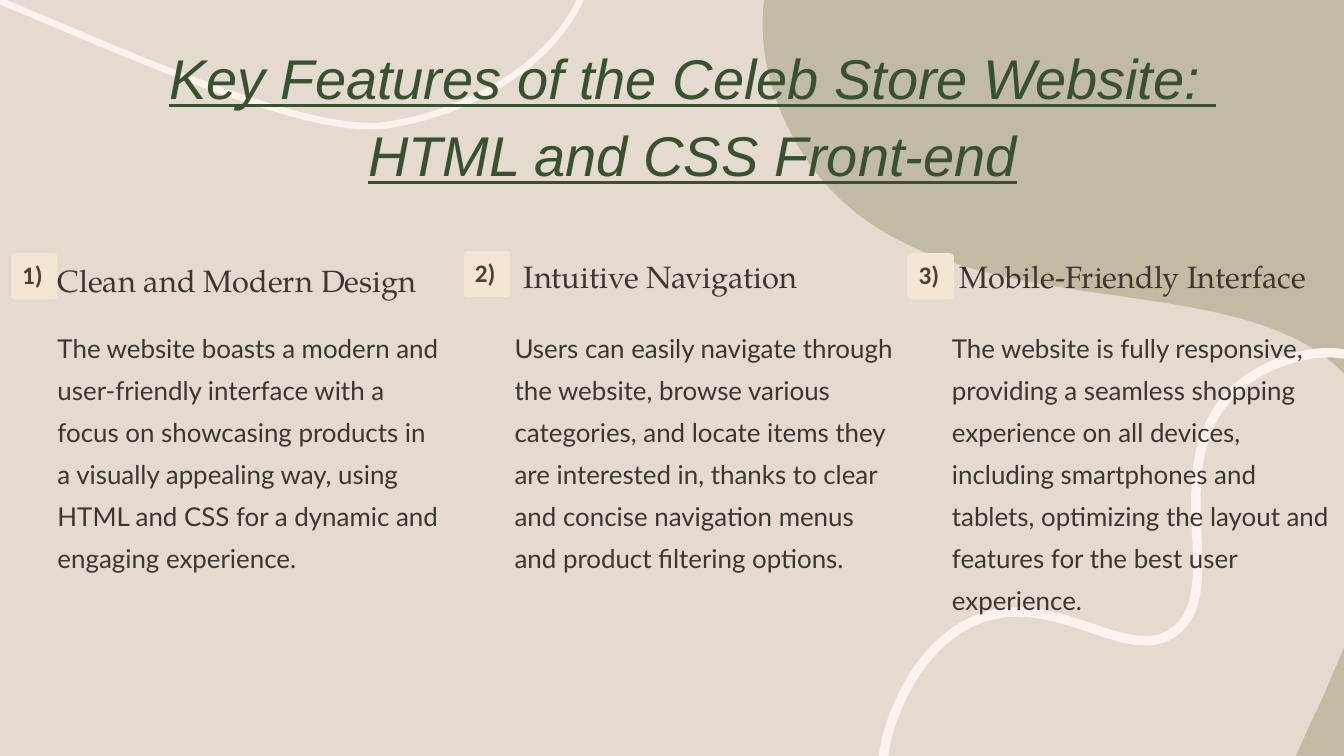
from pptx import Presentation
from pptx.dml.color import RGBColor
from pptx.enum.shapes import MSO_SHAPE as Shape
from pptx.enum.text import MSO_ANCHOR as Anchor, PP_ALIGN as Align
from pptx.oxml.ns import qn
from pptx.util import Cm, Pt
from lxml.etree import SubElement

SAND, OLIVE, CREAM, BADGE = "E5DACF", "A09D79", "FEF3ED", "F3E7D4"
GREEN, BROWN, INK = "38512F", "543E34", "3A3630"

CORNER = [
    (33.91, 16.23), (33.91, 19.05), (32.66, 19.05), (33.02, 18.24),
    (33.2, 17.88, 33.38, 17.5, 33.53, 17.12),
]
BLOB = [
    (19.25, 0), (33.91, 0), (33.91, 9.47), (33.81, 9.35),
    (30.78, 6.38, 23.11, 8.66, 20.14, 3.73),
    (19.91, 3.35, 19.05, 1.88, 19.25, 0.05),
]
TOP_WAVE = [
    (0, 0.03), (0.38, 0.18), (2.54, 1.09),
    (6.55, 2.77, 8.28, 3.18, 9.35, 3.18),
    (9.68, 3.18, 9.96, 3.12, 10.21, 3.07),
    (11.81, 2.74, 13.87, 1.7, 14.66, -0.08),
]
BOTTOM_WAVE = [
    (22.25, 19.13), (22.33, 18.67),
    (22.63, 17.5, 23.32, 16.23, 24.49, 15.67),
    (26.54, 14.73, 28.42, 16.84, 29.62, 15.9),
    (30.96, 14.86, 29.24, 11.84, 30.99, 9.96),
    (31.75, 9.14, 32.79, 8.97, 33.05, 8.92),
    (33.22, 8.89, 33.4, 8.89, 33.6, 8.89),
    (33.68, 8.89, 33.81, 8.92, 33.91, 8.92),
]

TITLE = ["Key Features of the Celeb Store Website: ", "HTML and CSS Front-end"]
FEATURES = [
    ("1)", (0.28, 6.38), "Clean and Modern Design", (1.45, 6.55, 9.4, 0.97),
     "The website boasts a modern and user-friendly interface with a focus on "
     "showcasing products in a visually appealing way, using HTML and CSS for "
     "a dynamic and engaging experience.", (1.45, 8.1, 9.73, 6.38)),
    ("2)", (11.69, 6.32), "Intuitive Navigation", (13.2, 6.45, 7.82, 0.97),
     "Users can easily navigate through the website, browse various categories, "
     "and locate items they are interested in, thanks to clear and concise "
     "navigation menus and product filtering options.", (12.97, 8.1, 9.73, 6.38)),
    ("3)", (22.87, 6.38), "Mobile-Friendly Interface", (24.19, 6.45, 9.32, 0.97),
     "The website is fully responsive, providing a seamless shopping experience "
     "on all devices, including smartphones and tablets, optimizing the layout "
     "and features for the best user experience.", (23.99, 8.1, 9.73, 7.44)),
]


def rgb(color):
    return RGBColor.from_string(color)


def corner_points(contour):
    return [(Cm(x), Cm(y)) for segment in contour
            for x, y in zip(segment[::2], segment[1::2])]


def bend(s, contours, closed):
    path = next(s._element.iter(qn("a:path")))
    nodes = iter(list(path))
    for contour in contours:
        for segment in contour:
            node = next(nodes)
            if len(segment) == 6:
                node.tag = qn("a:cubicBezTo")
                for extra in (next(nodes), next(nodes)):
                    node.append(extra[0])
                    path.remove(extra)
        if closed:
            next(nodes)


def add_outline(slide, contours, closed):
    first, *others = map(corner_points, contours)
    builder = slide.shapes.build_freeform(*first[0])
    builder.add_line_segments(first[1:], close=closed)
    for points in others:
        builder.move_to(*points[0])
        builder.add_line_segments(points[1:], close=closed)
    s = builder.convert_to_shape()
    s.shadow.inherit = False
    bend(s, contours, closed)
    return s


def add_blob(slide, contours, color, opacity):
    s = add_outline(slide, contours, True)
    s.fill.solid()
    s.fill.fore_color.rgb = rgb(color)
    s.line.fill.background()
    fill = s._element.spPr.find(qn("a:solidFill"))
    SubElement(fill[0], qn("a:alpha")).set("val", str(opacity * 1000))


def add_wave(slide, contour, color, width):
    s = add_outline(slide, [contour], False)
    s.fill.background()
    s.line.color.rgb = rgb(color)
    s.line.width = Pt(width)


def add_run(p, text, font, size, color, **style):
    r = p.add_run()
    r.text = text
    r.font.name = font
    r.font.size = Pt(size)
    r.font.color.rgb = rgb(color)
    for name, value in style.items():
        setattr(r.font, name, value)


def add_text(slide, box, lines, font, size, color, spacing,
             align=Align.LEFT, wrap=True, **style):
    tf = slide.shapes.add_textbox(*map(Cm, box)).text_frame
    tf.word_wrap = wrap
    tf.margin_left = tf.margin_right = tf.margin_top = tf.margin_bottom = 0
    for i, text in enumerate(lines):
        p = tf.add_paragraph() if i else tf.paragraphs[0]
        p.alignment = align
        p.line_spacing = Pt(spacing)
        add_run(p, text, font, size, color, **style)


def add_badge(slide, left, top, text):
    s = slide.shapes.add_shape(Shape.ROUNDED_RECTANGLE,
                               Cm(left), Cm(top), Cm(1.17), Cm(1.17))
    s.adjustments[0] = 0.09
    s.shadow.inherit = False
    s.fill.solid()
    s.fill.fore_color.rgb = rgb(BADGE)
    s.line.fill.background()
    tf = s.text_frame
    tf.vertical_anchor = Anchor.TOP
    p = tf.paragraphs[0]
    p.alignment = Align.LEFT
    add_run(p, text, "Calibri", 18, BROWN, bold=True)


def main():
    prs = Presentation()
    prs.slide_width, prs.slide_height = Cm(33.87), Cm(19.05)
    slide = prs.slides.add_slide(prs.slide_layouts[6])
    slide.background.fill.solid()
    slide.background.fill.fore_color.rgb = rgb(SAND)

    add_blob(slide, [CORNER, BLOB], OLIVE, 50)
    add_wave(slide, TOP_WAVE, CREAM, 4.75)
    add_wave(slide, BOTTOM_WAVE, CREAM, 6.75)
    add_text(slide, (1.97, 0.84, 30.96, 4.57), TITLE, "Arial", 40, GREEN, 55,
             align=Align.CENTER, italic=True, underline=True)
    for number, corner, heading, heading_box, body, body_box in FEATURES:
        add_badge(slide, *corner, number)
        add_text(slide, heading_box, [heading], "TeX Gyre Pagella", 22, INK, 27.5,
                 wrap=False)
        add_text(slide, body_box, [body], "Lato", 18.5, INK, 30)
    prs.save("out.pptx")


if __name__ == "__main__":
    main()
